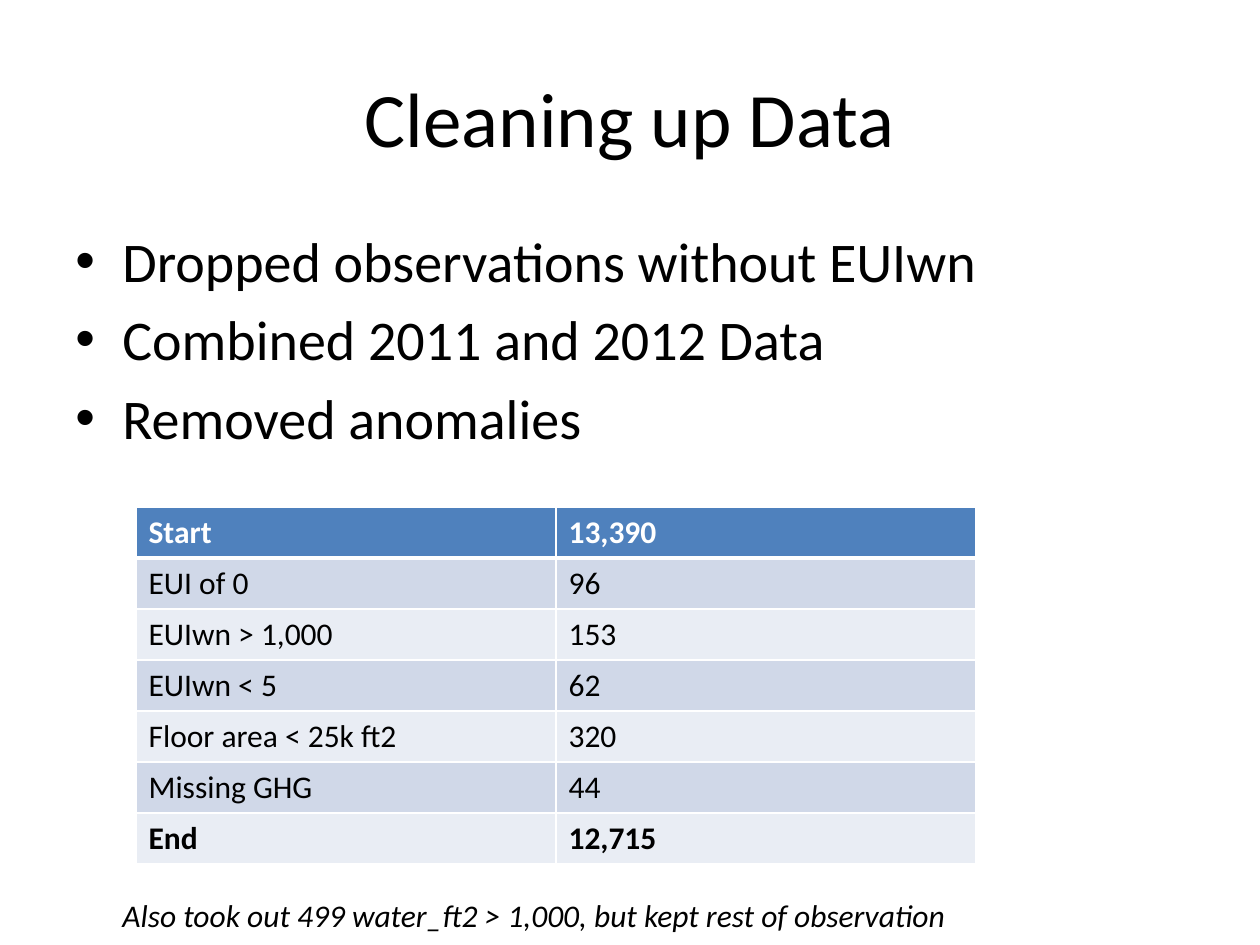
from lxml import etree
from pptx import Presentation, util as u
from pptx.dml.color import RGBColor
from pptx.enum import text
from pptx.oxml.ns import qn

SCALE = 914400 // 126
FONT = "Calibri"
COLORS = {
    "ink": "000000",
    "white": "FFFFFF",
    "header": "4F81BD",
    "band_dark": "D0D8E8",
    "band_light": "E9EDF4",
}
BULLETS = [
    "Dropped observations without EUIwn",
    "Combined 2011 and 2012 Data",
    "Removed anomalies",
]
COUNTS = [
    ("Start", "13,390"),
    ("EUI of 0", "96"),
    ("EUIwn > 1,000", "153"),
    ("EUIwn < 5", "62"),
    ("Floor area < 25k ft2", "320"),
    ("Missing GHG", "44"),
    ("End", "12,715"),
]


def px(*lengths):
    """Turn pixel lengths into EMU."""
    return [u.Emu(length * SCALE) for length in lengths]


def rgb(name):
    """Look up a named colour."""
    return RGBColor.from_string(COLORS[name])


class SlideBuilder:
    """Holds the style and the current slide."""

    def __init__(self, deck):
        """Start a slide with a title."""
        self.page = deck.slides.add_slide(deck.slide_layouts[5])

    def format_text(self, frame, size, color="ink", bold=False, italic=False):
        """Apply one font to every run of a text frame."""
        for para in frame.paragraphs:
            for span in para.runs:
                font = span.font
                font.name, font.size = FONT, u.Pt(size)
                font.bold, font.italic = bold, italic
                font.color.rgb = rgb(color)

    def title(self, words, left, top, width, height):
        """Place and format the title placeholder."""
        box = self.page.shapes.title
        box.left, box.top, box.width, box.height = px(left, top, width, height)
        frame = box.text_frame
        frame.text = words
        frame.vertical_anchor = text.MSO_ANCHOR.MIDDLE
        frame.paragraphs[0].alignment = text.PP_ALIGN.CENTER
        self.format_text(frame, 44)

    def text_box(self, lines, left, top, width, height, size, wrap=True, italic=False):
        """Add a text box with one paragraph for each line."""
        box = self.page.shapes.add_textbox(*px(left, top, width, height))
        frame = box.text_frame
        frame.text = "\n".join(lines)
        frame.word_wrap = wrap
        self.format_text(frame, size, italic=italic)
        return frame

    def bullets(self, lines, left, top, width, height, size, indent):
        """Add a bulleted list with a hanging indent."""
        frame = self.text_box(lines, left, top, width, height, size)
        hang = px(indent)[0]
        for para in frame.paragraphs:
            para.space_before = u.Pt(size * 0.2)
            props = para._p.get_or_add_pPr()
            props.set("marL", str(hang))
            props.set("indent", str(-hang))
            etree.SubElement(props, qn("a:buFont")).set("typeface", "Arial")
            etree.SubElement(props, qn("a:buChar")).set("char", "•")

    def border(self, cell, side, points):
        """Draw one white cell border."""
        props = cell._tc.get_or_add_tcPr()
        line = etree.SubElement(props, qn(f"a:ln{side}"), w=str(u.Pt(points)))
        fill = etree.SubElement(line, qn("a:solidFill"))
        etree.SubElement(fill, qn("a:srgbClr"), val=COLORS["white"])

    def table(self, rows, left, top, width, row_height):
        """Add a banded table with a header row and a bold last row."""
        frame = self.page.shapes.add_table(
            len(rows), len(rows[0]), *px(left, top, width, row_height * len(rows)))
        for r, values in enumerate(rows):
            is_header = r == 0
            band = "header" if is_header else "band_dark" if r % 2 else "band_light"
            for c, value in enumerate(values):
                cell = frame.table.cell(r, c)
                cell.text = value
                for side in "LRTB":
                    heavy = (r, side) in ((0, "B"), (1, "T"))
                    self.border(cell, side, 3 if heavy else 1)
                cell.fill.solid()
                cell.fill.fore_color.rgb = rgb(band)
                self.format_text(cell.text_frame, 18, "white" if is_header else "ink",
                                 bold=r in (0, len(rows) - 1))


def main():
    """Build and save the slide."""
    deck = Presentation()
    deck.slide_width, deck.slide_height = u.Inches(10), u.Inches(7.5)
    slide = SlideBuilder(deck)
    slide.title("Cleaning up Data", 63, 38, 1134, 157)
    slide.bullets(BULLETS, 63, 220, 1134, 624, size=32, indent=47)
    slide.table(COUNTS, 136, 507, 840, 51)
    slide.text_box(
        ["Also took out 499 water_ft2 > 1,000, but kept rest of observation"],
        110, 890, 866, 51, size=18, wrap=False, italic=True)
    deck.save("out.pptx")


main()
